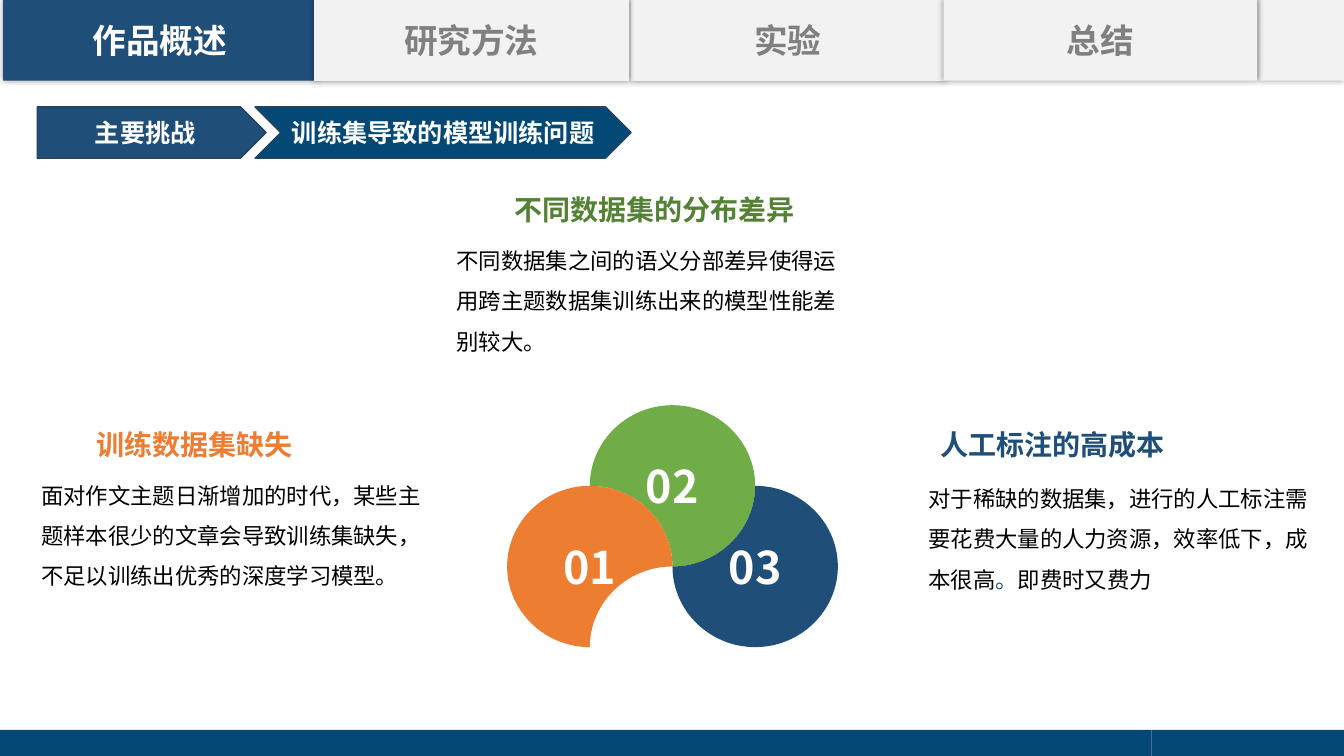
import math
from dataclasses import dataclass

import pptx
import pptx.dml.color
import pptx.enum.shapes
import pptx.enum.text
import pptx.oxml.ns
import pptx.util
from lxml import etree
from pptx.util import Inches

RGBColor = pptx.dml.color.RGBColor
MSO_SHAPE = pptx.enum.shapes.MSO_SHAPE
PP_ALIGN = pptx.enum.text.PP_ALIGN
MSO_ANCHOR = pptx.enum.text.MSO_ANCHOR
MSO_AUTO_SIZE = pptx.enum.text.MSO_AUTO_SIZE
qn = pptx.oxml.ns.qn

FONT = "Noto Sans CJK SC"
NAVY = RGBColor(0x1F, 0x4E, 0x79)
DEEP_BLUE = RGBColor(0x04, 0x48, 0x75)
EDGE_BLUE = RGBColor(0x28, 0x44, 0x5D)
ORANGE = RGBColor(0xED, 0x7D, 0x31)
GREEN = RGBColor(0x70, 0xAD, 0x47)
DARK_GREEN = RGBColor(0x54, 0x82, 0x35)
LIGHT_GRAY = RGBColor(0xF2, 0xF2, 0xF2)
GRAY = RGBColor(0x80, 0x80, 0x80)
WHITE = RGBColor(0xFF, 0xFF, 0xFF)
BLACK = RGBColor(0x00, 0x00, 0x00)

PETAL_RX, PETAL_RY = 0.82, 0.8
QUARTER_ARC = 0.55  # Bezier handle length of a quarter circle, relative to its radius


@dataclass
class Tab:
    left: float
    width: float
    label: str = ""
    fill: RGBColor = LIGHT_GRAY
    color: RGBColor = GRAY
    outlined: bool = False


@dataclass
class Petal:
    """A disc whose quarter starting at the angle `cut` is scooped out."""
    number: str
    center_x: float
    center_y: float
    cut: int
    fill: RGBColor


@dataclass
class Challenge:
    heading: str
    heading_box: tuple[float, float, float]
    heading_color: RGBColor
    align: PP_ALIGN
    body: list[tuple[str, RGBColor]]
    body_left: float
    body_top: float


# Listed from back to front, so that each shadow falls on the right neighbour.
TABS = [
    Tab(12.49, 0.84),
    Tab(6.26, 3.11, "实验", outlined=True),
    Tab(9.36, 3.11, "总结"),
    Tab(0.03, 3.11, "作品概述", NAVY, WHITE),
    Tab(3.12, 3.11, "研究方法", outlined=True),
]

PETALS = [
    Petal("02", 6.67, 4.82, 90, GREEN),
    Petal("01", 5.85, 5.62, 0, ORANGE),
    Petal("03", 7.49, 5.62, 180, NAVY),
]

CHALLENGES = [
    Challenge("训练数据集缺失", (0.85, 4.19, 2.15), ORANGE, PP_ALIGN.RIGHT,
              [("面对作文主题日渐增加的时代，某些主题样本很少的文章会导致训练集缺失，"
                "不足以训练出优秀的深度学习模型。", BLACK)], 0.31, 4.6),
    Challenge("人工标注的高成本", (9.23, 4.19, 2.43), NAVY, PP_ALIGN.LEFT,
              [("对于稀缺的数据集，进行的人工标注需要花费大量的人力资源，效率低下，成本很高", BLACK),
               ("。", NAVY), ("即费时又费力", BLACK)], 9.11, 4.63),
    Challenge("不同数据集的分布差异", (4.99, 1.86, 2.99), DARK_GREEN, PP_ALIGN.RIGHT,
              [("不同数据集之间的语义分部差异使得运用跨主题数据集训练出来的模型性能差别较大。",
                BLACK)], 4.43, 2.27),
]


def format_run(run, size: float, color: RGBColor, bold: bool) -> None:
    run.font.size = pptx.util.Pt(size)
    run.font.bold = bold
    run.font.color.rgb = color
    run.font.name = FONT
    etree.SubElement(run.font._element, qn("a:ea")).set("typeface", FONT)


def write_centered(shape, text: str, size: float, color: RGBColor) -> None:
    frame = shape.text_frame
    frame.text = text
    frame.word_wrap = True
    frame.vertical_anchor = MSO_ANCHOR.MIDDLE
    frame.paragraphs[0].alignment = PP_ALIGN.CENTER
    format_run(frame.paragraphs[0].runs[0], size, color, True)


def paint(shape, fill: RGBColor, line: RGBColor | None = None, width: float = 1) -> None:
    shape.shadow.inherit = False
    shape.fill.solid()
    shape.fill.fore_color.rgb = fill
    if line is None:
        shape.line.fill.background()
    else:
        shape.line.color.rgb = line
        shape.line.width = pptx.util.Pt(width)


def add_block(slide, kind, left: float, top: float, width: float, height: float):
    return slide.shapes.add_shape(
        kind, Inches(left), Inches(top), Inches(width), Inches(height))


def add_glow_shadow(shape) -> None:
    """Give the shape a soft black shadow on all sides."""
    effects = shape._element.spPr.find(qn("a:effectLst"))
    shadow = etree.SubElement(effects, qn("a:outerShdw"), blurRad="63500", dist="0",
                              dir="0", algn="ctr", rotWithShape="0")
    black = etree.SubElement(shadow, qn("a:srgbClr"), val="000000")
    etree.SubElement(black, qn("a:alpha"), val="40000")


def add_tab(slide, tab: Tab) -> None:
    block = add_block(slide, MSO_SHAPE.RECTANGLE, tab.left, -0.01, tab.width, 0.81)
    paint(block, tab.fill, LIGHT_GRAY if tab.outlined else None, 0.75)
    add_glow_shadow(block)
    if tab.label:
        write_centered(block, tab.label, 24, tab.color)


def bend_sides(disc) -> None:
    """Turn three straight sides into convex quarter arcs and the last into a concave one."""
    center = (disc.width / 2, disc.height / 2)
    outline = disc._element.spPr.find(".//" + qn("a:path"))
    start = outline.find(qn("a:moveTo"))[0]
    sides = outline.findall(qn("a:lnTo"))
    for side in sides:
        end = side[0]
        here, there = [(int(pt.get("x")), int(pt.get("y"))) for pt in (start, end)]
        corner = center if side is sides[-1] else tuple(
            a + b - c for a, b, c in zip(here, there, center))
        curve = etree.Element(qn("a:cubicBezTo"))
        for anchor in (here, there):
            x, y = (round(a + QUARTER_ARC * (b - a)) for a, b in zip(anchor, corner))
            etree.SubElement(curve, qn("a:pt"), x=str(x), y=str(y))
        outline.replace(side, curve)
        curve.append(end)
        start = end


def add_petal(group, petal: Petal) -> None:
    angles = [math.radians(petal.cut + turn) for turn in (90, 180, 270, 360)]
    extremes = [(Inches(petal.center_x + PETAL_RX * math.cos(angle)),
                 Inches(petal.center_y + PETAL_RY * math.sin(angle))) for angle in angles]
    builder = group.shapes.build_freeform(*extremes[0])
    builder.add_line_segments(extremes[1:] + extremes[:1], close=True)
    disc = builder.convert_to_shape()
    bend_sides(disc)
    paint(disc, petal.fill)
    write_centered(disc, petal.number, 32, WHITE)


def add_challenge(slide, challenge: Challenge) -> None:
    left, top, width = challenge.heading_box
    heading = slide.shapes.add_textbox(
        Inches(left), Inches(top), Inches(width), Inches(0.44)).text_frame
    heading.text = challenge.heading
    heading.word_wrap = False
    heading.auto_size = MSO_AUTO_SIZE.SHAPE_TO_FIT_TEXT
    heading.paragraphs[0].alignment = challenge.align
    format_run(heading.paragraphs[0].runs[0], 20, challenge.heading_color, True)

    body = slide.shapes.add_textbox(
        Inches(challenge.body_left), Inches(challenge.body_top),
        Inches(4.12), Inches(1.31)).text_frame
    body.word_wrap = True
    body.auto_size = MSO_AUTO_SIZE.SHAPE_TO_FIT_TEXT
    body.paragraphs[0].line_spacing = 1.5
    for text, color in challenge.body:
        run = body.paragraphs[0].add_run()
        run.text = text
        format_run(run, 16, color, False)


def add_banner(slide, kind, left: float, width: float, text: str, fill: RGBColor) -> None:
    banner = add_block(slide, kind, left, 1.06, width, 0.51)
    paint(banner, fill, EDGE_BLUE)
    write_centered(banner, text, 18, WHITE)


def main() -> None:
    deck = pptx.Presentation()
    deck.slide_width, deck.slide_height = Inches(13.33), Inches(7.5)
    slide = deck.slides.add_slide(deck.slide_layouts[6])

    for left, width in ((11.42, 1.92), (0, 11.42)):
        paint(add_block(slide, MSO_SHAPE.RECTANGLE, left, 7.24, width, 0.26), DEEP_BLUE)
    add_banner(slide, MSO_SHAPE.PENTAGON, 0.37, 2.27, "主要挑战", NAVY)
    for tab in TABS:
        add_tab(slide, tab)
    petal_group = slide.shapes.add_group_shape()
    for petal in PETALS:
        add_petal(petal_group, petal)
    add_banner(slide, MSO_SHAPE.CHEVRON, 2.53, 3.73, "训练集导致的模型训练问题", DEEP_BLUE)
    for challenge in CHALLENGES:
        add_challenge(slide, challenge)
    deck.save("out.pptx")


if __name__ == "__main__":
    main()
